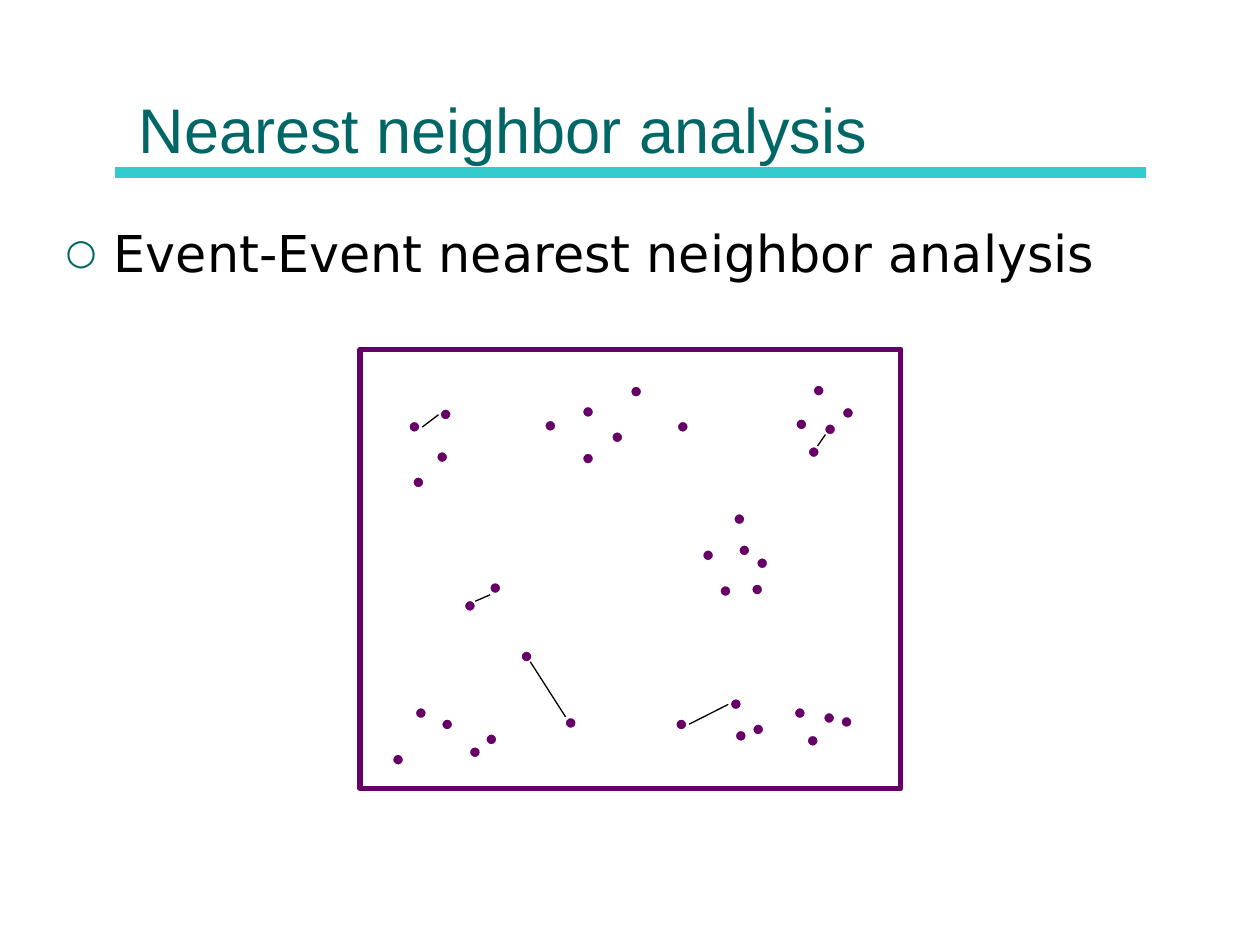
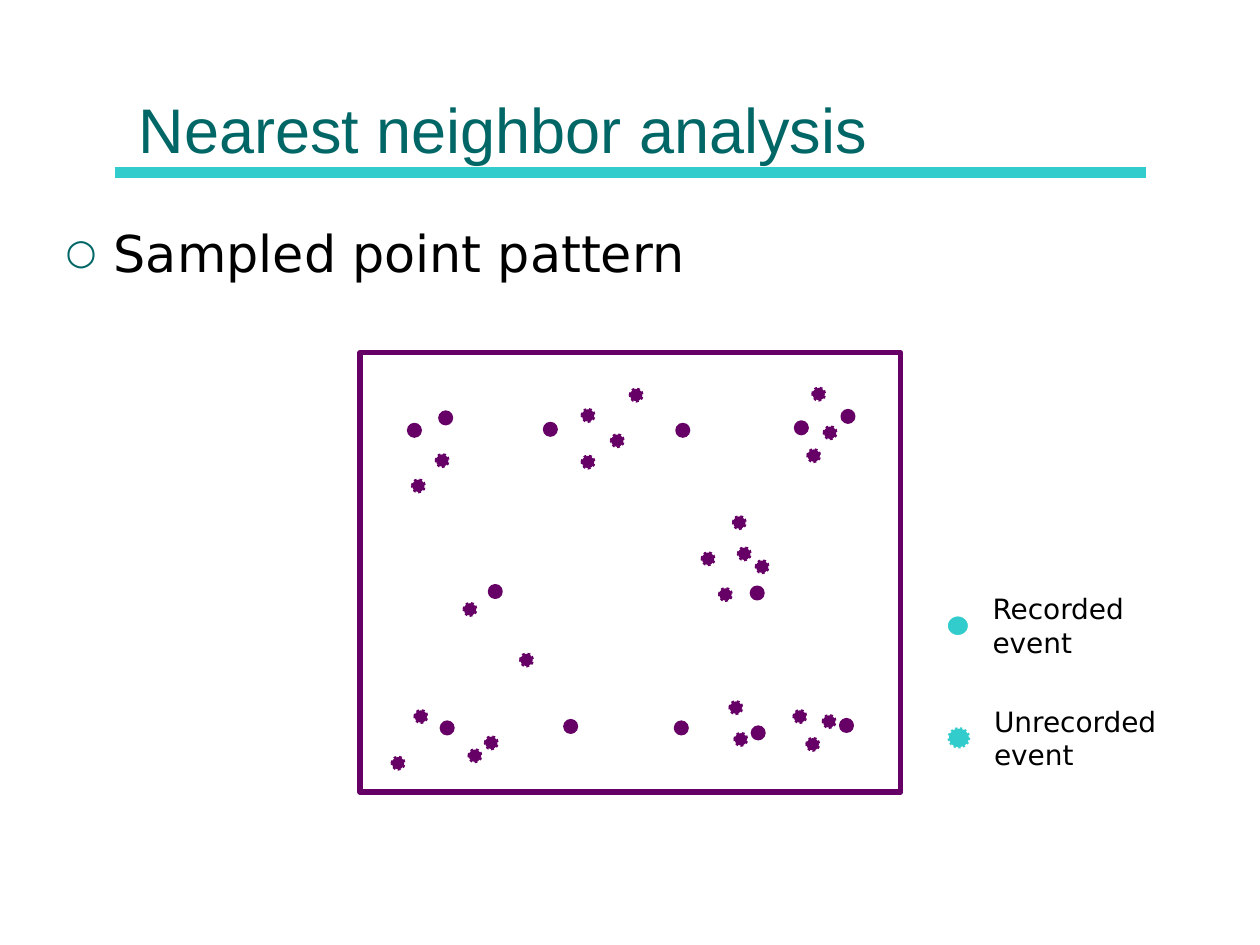
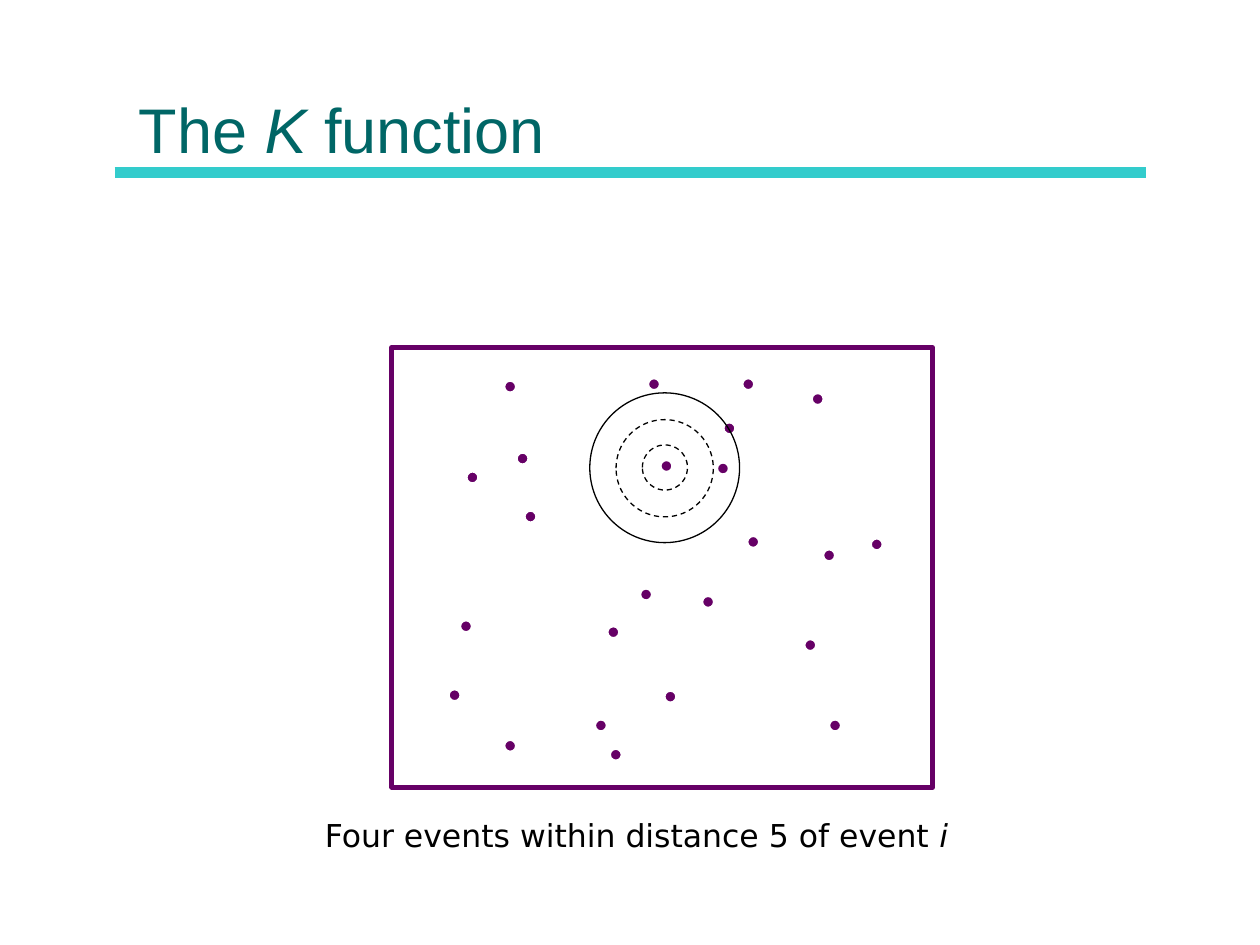
"""Build three slides on point patterns, nearest neighbors and the K function."""
from lxml import etree
from pptx import Presentation
from pptx.dml.color import RGBColor
from pptx.enum.dml import MSO_LINE
from pptx.enum.shapes import MSO_CONNECTOR, MSO_SHAPE
from pptx.enum.text import MSO_ANCHOR, MSO_AUTO_SIZE, PP_ALIGN
from pptx.oxml.ns import qn
from pptx.util import Cm, Pt

RECT, OVAL = MSO_SHAPE.RECTANGLE, MSO_SHAPE.OVAL
LINE = MSO_CONNECTOR.STRAIGHT
DOTTED, DASHED = MSO_LINE.ROUND_DOT, MSO_LINE.DASH
BOTTOM, LEFT = MSO_ANCHOR.BOTTOM, PP_ALIGN.LEFT
GROW, FIXED = MSO_AUTO_SIZE.SHAPE_TO_FIT_TEXT, MSO_AUTO_SIZE.NONE

HEX = {"teal": "006666", "aqua": "33CCCC", "plum": "660066",
       "black": "000000", "white": "FFFFFF"}
COLOR = {name: RGBColor.from_string(code) for name, code in HEX.items()}
HEAD, BODY = "Arial", "DejaVu Sans"
DOT = 0.25

MISSED = [
    (15.24, 11.23), (8.79, 9.09), (14.15, 11.07), (11.73, 9.12), (9.35, 12.09),
    (14.88, 10.97), (12.7, 7.77), (11.73, 8.18), (8.31, 9.6), (12.32, 8.69),
    (16.38, 7.75), (14.5, 11.79), (10.49, 13.11), (14.78, 10.34), (16.28, 8.99),
    (16.61, 8.53), (9.45, 15.04), (8.36, 14.25), (9.78, 14.78), (7.9, 15.19),
    (14.81, 14.71), (16, 14.25), (14.71, 14.07), (16.26, 14.81), (16.59, 14.35)]
FOUND = [
    (10.97, 8.46), (8.86, 8.23), (16.97, 8.2), (15.14, 11.76), (13.64, 8.48),
    (9.86, 11.73), (8.23, 8.48), (16.03, 8.43), (8.89, 14.48), (15.16, 14.58),
    (16.94, 14.43), (11.38, 14.45), (13.61, 14.48)]
EVENTS = [
    (12.29, 15.09), (13.06, 7.62), (10.16, 7.67), (17.55, 10.85), (11.99, 14.5),
    (16.36, 7.92), (10.57, 10.29), (12.24, 12.62), (14.45, 9.32), (9.27, 12.5),
    (10.41, 9.12), (9.04, 13.89), (14.15, 12.01), (14.96, 7.62), (13.31, 9.27),
    (9.4, 9.5), (14.58, 8.51), (16.59, 11.07), (16.71, 14.5), (13.39, 13.92),
    (10.16, 14.91), (12.9, 11.86), (16.21, 12.88), (15.06, 10.8)]
PAIRS = [
    (10.69, 13.34, 11.4, 14.45), (9.58, 12.12, 9.88, 11.99),
    (16.48, 8.99, 16.64, 8.76), (13.89, 14.6, 14.68, 14.2),
    (8.51, 8.61, 8.84, 8.36)]
RINGS = [(11.89, 7.92, 3.02, None), (12.42, 8.46, 1.96, DASHED),
         (12.95, 8.97, 0.91, DASHED)]
KEYS = [("Recorded", 19.08, 12.4, None, 19.76, 11.81, 3.15),
        ("Unrecorded", 19.1, 14.66, DOTTED, 19.79, 14.07, 3.78)]

SLIDES = [
    (["Nearest neighbor analysis"], "Event-Event nearest neighbor analysis", 7.26, 7.04),
    (["Nearest neighbor analysis"], "Sampled point pattern", 7.26, 7.11),
    (["The ", "K", " function"], None, 7.9, 7.01)]


def draw(shapes, kind, box, fill, edge, width, dash=None):
    shape = shapes.add_shape(kind, *map(Cm, box))
    shape.shadow.inherit = False
    if fill:
        shape.fill.solid()
        shape.fill.fore_color.rgb = COLOR[fill]
    else:
        shape.fill.background()
    shape.line.color.rgb = COLOR[edge]
    shape.line.width = Pt(width)
    if dash:
        shape.line.dash_style = dash


def join(slide, ends, color, width):
    line = slide.shapes.add_connector(LINE, *map(Cm, ends))
    line.line.color.rgb = COLOR[color]
    line.line.width = Pt(width)
    etree.SubElement(line._element.spPr, qn("a:effectLst"))


deck = Presentation()
deck.slide_width, deck.slide_height = Cm(25.4), Cm(19.05)
pages = []

for words, point, left, top in SLIDES:
    slide = deck.slides.add_slide(deck.slide_layouts[1 if point else 5])
    pages.append(slide)
    join(slide, (2.31, 3.48, 23.11, 3.48), "aqua", 6)

    title = slide.shapes.title
    title.left, title.top, title.width, title.height = map(Cm, (2.54, 0.3, 20.32, 3.18))
    title.text_frame.vertical_anchor = BOTTOM
    title.text_frame.auto_size = FIXED
    para = title.text_frame.paragraphs[0]
    para.alignment = LEFT
    para.font.name, para.font.size = HEAD, Pt(36)
    para.font.color.rgb = COLOR["teal"]
    for word in words:
        run = para.add_run()
        run.text = word
        if word == "K":
            run.font.italic = True

    if point:
        body = slide.placeholders[1]
        body.left, body.top, body.width, body.height = map(Cm, (1.07, 4.34, 23.19, 11.43))
        body.text_frame.auto_size = FIXED
        para = body.text_frame.paragraphs[0]
        para.text = point
        para.font.name, para.font.size = BODY, Pt(29)
        para.font.color.rgb = COLOR["black"]
        props = para._p.get_or_add_pPr()
        props.set("marL", str(Cm(0.97)))
        props.set("indent", str(Cm(-0.97)))
        tint = etree.SubElement(props, qn("a:buClr"))
        etree.SubElement(tint, qn("a:srgbClr"), val=HEX["teal"])
        etree.SubElement(props, qn("a:buSzPct"), val="70000")
        etree.SubElement(props, qn("a:buFont"), typeface=BODY)
        etree.SubElement(props, qn("a:buChar"), char="○")
        props.append(props.find(qn("a:defRPr")))

    draw(slide.shapes, RECT, (left, top, 10.9, 8.86), None, "plum", 3)

near, sample, ripley = pages

for slide, spots, drop, edge, dash in [
        (near, MISSED + FOUND, 0, "white", None),
        (sample, MISSED, 0.07, "plum", DOTTED),
        (sample, FOUND, 0.07, "plum", None),
        (ripley, EVENTS, 0, "white", None)]:
    for x, y in spots:
        draw(slide.shapes, OVAL, (x, y + drop, DOT, DOT), "plum", edge, 1.5, dash)

for ends in PAIRS:
    join(near, ends, "black", 0.75)

for label, x, y, dash, left, top, width in KEYS:
    draw(sample.shapes, OVAL, (x, y, 0.46, 0.43), "aqua", "white", 1.5, dash)
    frame = sample.shapes.add_textbox(*map(Cm, (left, top, width, 1.63))).text_frame
    frame.word_wrap, frame.auto_size = False, GROW
    frame.text = label + "\nevent"
    for para in frame.paragraphs:
        para.font.name, para.font.size = BODY, Pt(16)
        para.font.color.rgb = COLOR["black"]

group = ripley.shapes.add_group_shape()
for x, y, size, dash in RINGS:
    draw(group.shapes, OVAL, (x, y, size, size), None, "black", 0.75, dash)

frame = ripley.shapes.add_textbox(*map(Cm, (6.3, 16.33, 13.18, 1.02))).text_frame
frame.word_wrap, frame.auto_size = False, GROW
para = frame.paragraphs[0]
para.font.name, para.font.size = BODY, Pt(18)
para.font.color.rgb = COLOR["black"]
para.add_run().text = "Four events within distance 5 of event "
run = para.add_run()
run.text = "i"
run.font.italic = True

deck.save("out.pptx")
